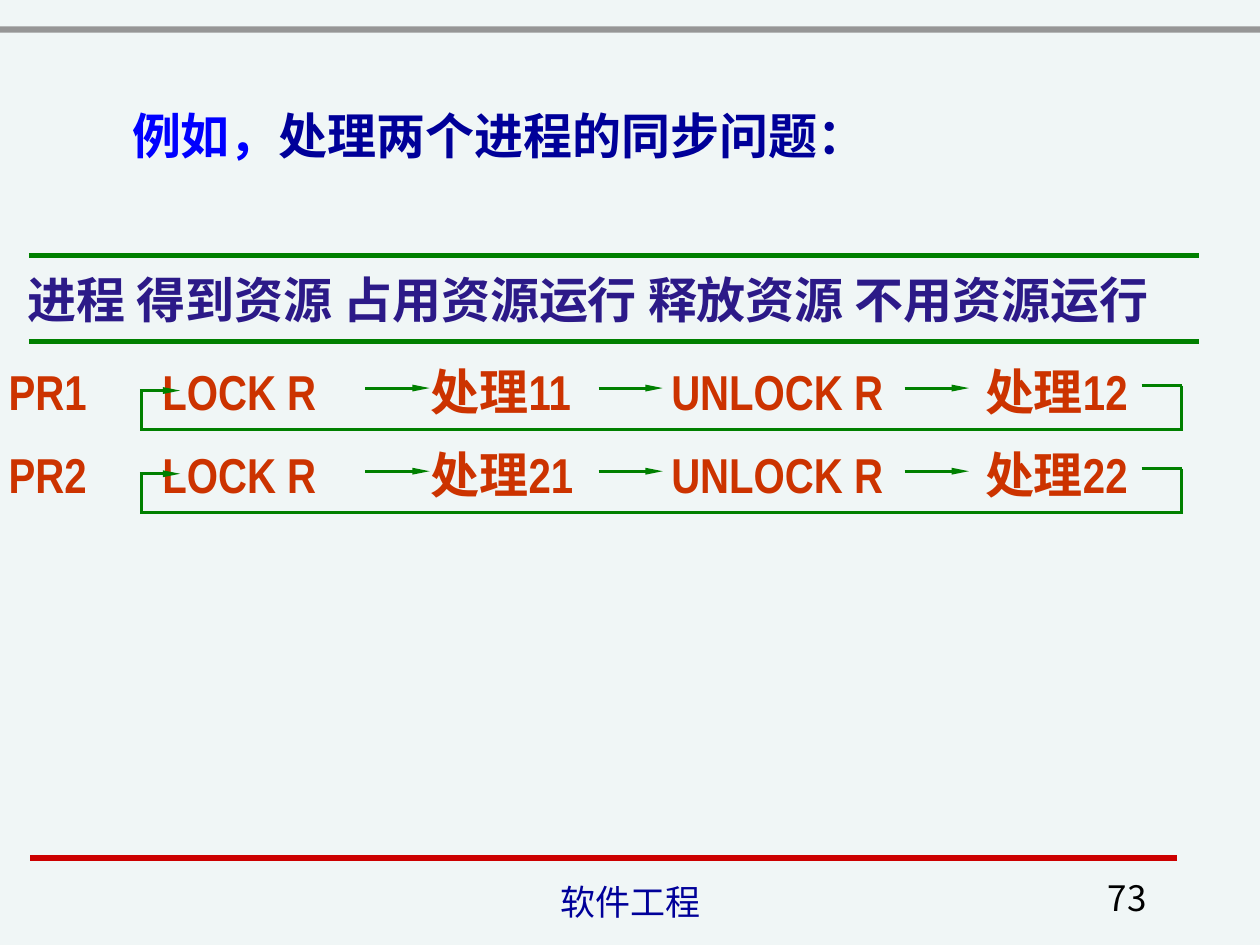
import pptx
import pptx.util
import pptx.dml.color
import pptx.enum.shapes
import pptx.enum.text
import pptx.oxml.ns
from lxml import etree

Inches = pptx.util.Inches
RGB = pptx.dml.color.RGBColor
ALIGN = pptx.enum.text.PP_ALIGN
ANCHOR = pptx.enum.text.MSO_ANCHOR
tag = pptx.oxml.ns.qn

PALE = RGB(0xF0, 0xF6, 0xF6)
GRAY = RGB(0x96, 0x96, 0x96)
RED = RGB(0xCC, 0x00, 0x00)
GREEN = RGB(0x00, 0x80, 0x00)
PURPLE = RGB(0x2C, 0x1A, 0x88)
RUST = RGB(0xCC, 0x33, 0x00)
BLUE = RGB(0x00, 0x00, 0xFF)
NAVY = RGB(0x00, 0x00, 0x99)
BLACK = RGB(0x00, 0x00, 0x00)
SANS = "Noto Sans CJK SC"
NARROW = "Arial Narrow"

deck = pptx.Presentation()
deck.slide_width, deck.slide_height = Inches(10), Inches(7.5)
slide = deck.slides.add_slide(deck.slide_layouts[6])
slide.background.fill.solid()
slide.background.fill.fore_color.rgb = PALE


def write(runs, left, top, width, height, size=28, font=SANS, bold=True,
          align=ALIGN.LEFT, anchor=ANCHOR.TOP, tabs=()):
    """Add a text box; runs is a list of (text, colour)."""
    box = slide.shapes.add_textbox(
        Inches(left), Inches(top), Inches(width), Inches(height))
    frame = box.text_frame
    frame.word_wrap = True
    frame.vertical_anchor = anchor
    para = frame.paragraphs[0]
    para.alignment = align
    if tabs:
        stops = etree.SubElement(para._p.get_or_add_pPr(), tag("a:tabLst"))
        for stop in tabs:
            etree.SubElement(stops, tag("a:tab"), pos=str(Inches(stop)), algn="l")
    for text, color in runs:
        run = para.add_run()
        run.text = text
        run.font.size = pptx.util.Pt(size)
        run.font.name = font
        run.font.bold = bold
        run.font.color.rgb = color
        etree.SubElement(run._r.get_or_add_rPr(), tag("a:ea"), typeface=SANS)


def draw(x1, y1, x2, y2, color=GREEN, weight=1.75, arrow=False):
    """Add a straight line, with an arrowhead at its end if asked."""
    line = slide.shapes.add_connector(
        pptx.enum.shapes.MSO_CONNECTOR.STRAIGHT,
        Inches(x1), Inches(y1), Inches(x2), Inches(y2))
    line.line.color.rgb = color
    line.line.width = pptx.util.Pt(weight)
    if arrow:
        etree.SubElement(line.line._get_or_add_ln(), tag("a:tailEnd"),
                         type="triangle", w="sm", len="lg")
    etree.SubElement(line._element.spPr, tag("a:effectLst"))


# Top bar and footer rule
bar = slide.shapes.add_shape(
    pptx.enum.shapes.MSO_SHAPE.RECTANGLE,
    Inches(0), Inches(0.21), Inches(10), Inches(0.05))
bar.shadow.inherit = False
bar.fill.solid()
bar.fill.fore_color.rgb = GRAY
bar.line.fill.background()
draw(0.24, 6.81, 9.34, 6.81, color=RED, weight=3)

# Title
write([("例如，", BLUE), ("处理两个进程的同步问题：", NAVY)],
      0.95, 0.62, 8.5, 0.9, font="Times New Roman", anchor=ANCHOR.MIDDLE)

# Column heads between two rules
for y in (2.03, 2.71):
    draw(0.23, y, 9.52, y, weight=3)
write([("进程 得到资源 占用资源运行 释放资源 不用资源运行", PURPLE)],
      0.12, 2.09, 9.52, 0.57)

# One row per process: steps, arrows between them, loop back to the start
for row in (1, 2):
    top = 2.82 + 0.66 * (row - 1)
    steps = f"PR{row}\tLOCK R\t处理{row}1\tUNLOCK R\t处理{row}2"
    write([(steps, RUST)], -0.03, top, 9.5, 0.57, font=NARROW,
          tabs=(1.22, 3.35, 5.26, 7.75))
    for x in (2.9, 4.75, 7.18):
        draw(x, top + 0.26, x + 0.51, top + 0.26, arrow=True)
    draw(9.06, top + 0.24, 9.38, top + 0.24)
    draw(9.38, top + 0.24, 9.38, top + 0.59)
    draw(9.39, top + 0.59, 1.11, top + 0.59)
    draw(1.12, top + 0.6, 1.12, top + 0.28)
    draw(1.11, top + 0.28, 1.43, top + 0.28, arrow=True)

# Footer and page number
write([("软件工程", NAVY)], 3.42, 6.98, 3.17, 0.39, size=20, font=NARROW,
      bold=False, align=ALIGN.CENTER, anchor=ANCHOR.BOTTOM)
write([("73", BLACK)], 7.12, 6.96, 2.08, 0.38, size=20,
      bold=False, align=ALIGN.RIGHT, anchor=ANCHOR.BOTTOM)

deck.save("out.pptx")
